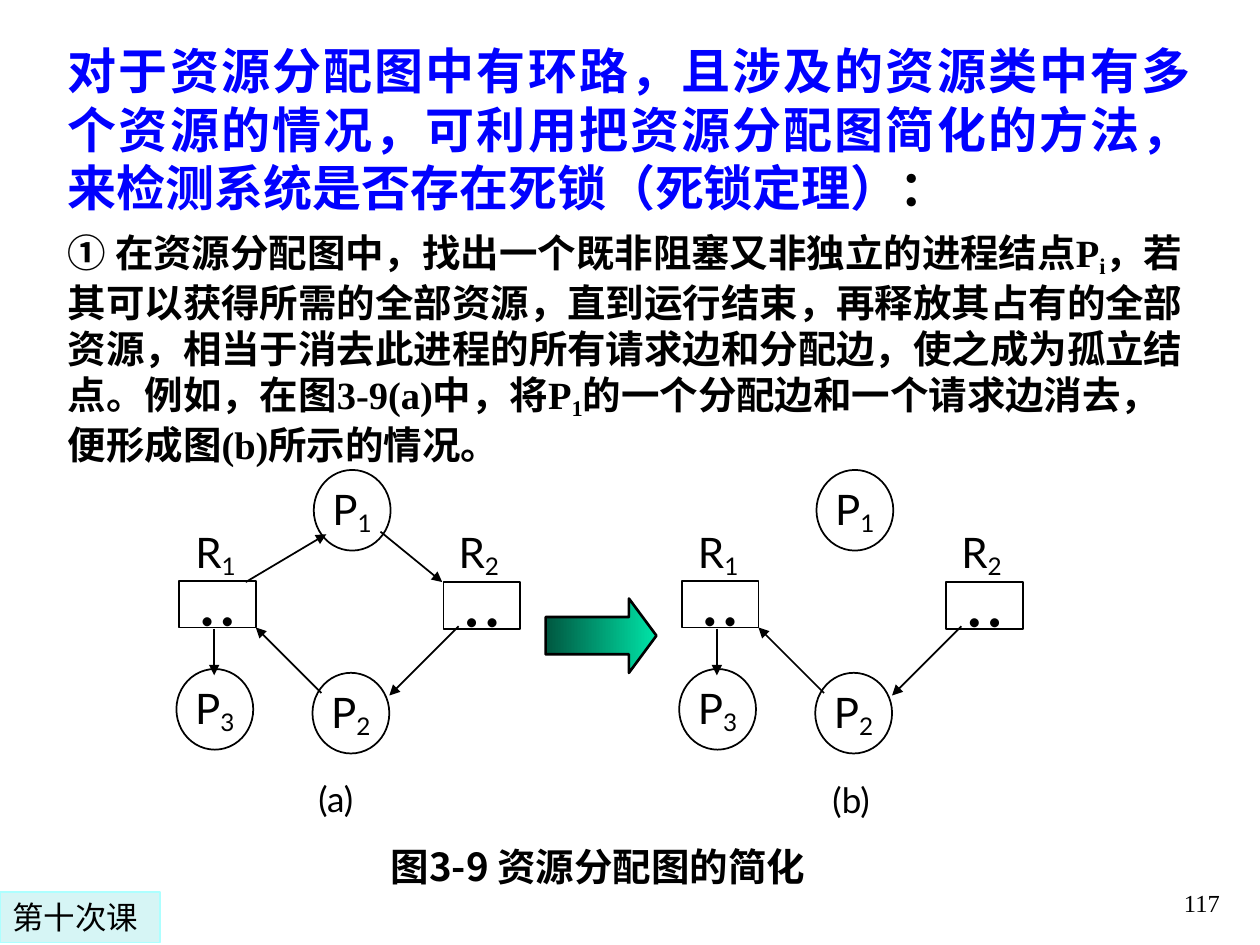
import pptx
import pptx.dml.color
import pptx.enum.shapes
import pptx.enum.text
import pptx.oxml.ns
import pptx.util
from lxml import etree

Inches = pptx.util.Inches
Pt = pptx.util.Pt
SHAPE = pptx.enum.shapes.MSO_SHAPE
ALIGN = pptx.enum.text.PP_ALIGN
ANCHOR = pptx.enum.text.MSO_ANCHOR
qn = pptx.oxml.ns.qn

CJK_FONT = "Noto Sans CJK SC"
PLAIN_INSETS = (0.1, 0.05, 0.1, 0.05)
NODE_INSETS = (0.06, 0.01, 0.06, 0.01)
BASE_EDGES = [
    (0.3, 1.26, 0.3, 1.63),
    (1.15, 1.77, 0.63, 1.25),
    (2.24, 1.24, 1.69, 1.79),
]
P1_EDGES = [(0.55, 0.89, 1.19, 0.51), (1.62, 0.49, 2.11, 0.89)]


def rgb(color):
    """Turn a hex string into a colour."""
    return pptx.dml.color.RGBColor.from_string(color)


def set_frame(shape, insets=PLAIN_INSETS, wrap=True, anchor=ANCHOR.TOP):
    """Set the margins, wrapping and anchor of a shape's text."""
    frame = shape.text_frame
    frame.word_wrap = wrap
    frame.vertical_anchor = anchor
    frame.margin_left, frame.margin_top, frame.margin_right, frame.margin_bottom = map(Inches, insets)
    return frame


def write(paragraph, runs, size, font, color="000000", bold=False, align=ALIGN.LEFT):
    """Fill a paragraph with (text, baseline percent) runs in one style."""
    paragraph.alignment = align
    paragraph.font.size = Pt(size)
    paragraph.font.name = font
    paragraph.font.bold = bold
    paragraph.font.color.rgb = rgb(color)
    for text, baseline in runs:
        run = paragraph.add_run()
        run.text = text
        properties = run._r.get_or_add_rPr()
        if baseline:
            properties.set("baseline", str(baseline * 1000))
        etree.SubElement(properties, qn("a:ea")).set("typeface", CJK_FONT)


def add_text(shapes, box, runs, size, font, bold=False, align=ALIGN.CENTER, anchor=ANCHOR.TOP):
    """Add a one-paragraph text box."""
    label = shapes.add_textbox(*map(Inches, box))
    frame = set_frame(label, anchor=anchor)
    write(frame.paragraphs[0], runs, size, font, bold=bold, align=align)


def add_outlined(shapes, kind, box, line="000000", width=1):
    """Add an unfilled preset shape with an outline."""
    shape = shapes.add_shape(kind, *map(Inches, box))
    shape.shadow.inherit = False
    shape.fill.background()
    shape.line.color.rgb = rgb(line)
    shape.line.width = Pt(width)
    return shape


def add_process(shapes, left, top, number):
    """Add a round process node."""
    node = add_outlined(shapes, SHAPE.OVAL, (left, top, 0.61, 0.64))
    frame = set_frame(node, NODE_INSETS, False, ANCHOR.MIDDLE)
    write(frame.paragraphs[0], [("P", 0), (number, -16)], 24, "Lato", align=ALIGN.CENTER)


def add_resource(shapes, left, top, label_left, label_top, number):
    """Add a resource class with two units and its label."""
    node = add_outlined(shapes, SHAPE.RECTANGLE, (left, top, 0.61, 0.37))
    frame = set_frame(node, (0.06, 0, 0.06, 0.01), False)
    write(frame.paragraphs[0], [("• •", -16)], 24, "Lato", align=ALIGN.CENTER)
    add_text(shapes, (label_left, label_top, 0.88, 0.53), [("R", 0), (number, -16)], 24, "Lato")


def add_edge(shapes, start_x, start_y, end_x, end_y):
    """Add an arrow between two nodes."""
    edge = shapes.add_connector(
        pptx.enum.shapes.MSO_CONNECTOR.STRAIGHT, *map(Inches, (start_x, start_y, end_x, end_y))
    )
    edge.line.color.rgb = rgb("000000")
    edge.line.width = Pt(1)
    etree.SubElement(edge.line._get_or_add_ln(), qn("a:tailEnd")).set("type", "triangle")
    etree.SubElement(edge._element.spPr, qn("a:effectLst"))


def add_allocation_graph(slide, left, top, edges, label, label_left, label_top):
    """Draw one resource allocation graph from its top left corner."""
    shapes = slide.shapes.add_group_shape().shapes
    add_text(shapes, (left + label_left, top + label_top, 1.05, 0.44), [(label, 0)], 20, "Lato")
    for number, x, y in [("1", 1.09, 0), ("2", 1.08, 1.61), ("3", 0, 1.58)]:
        add_process(shapes, left + x, top + y, number)
    for number, x, y, label_x in [("1", 0.02, 0.88, -0.13), ("2", 2.12, 0.89, 1.96)]:
        add_resource(shapes, left + x, top + y, left + label_x, top + 0.4, number)
    for start_x, start_y, end_x, end_y in edges:
        add_edge(shapes, left + start_x, top + start_y, left + end_x, top + end_y)


def add_explanation(slide, box):
    """Write the theorem heading and its first step."""
    frame = set_frame(slide.shapes.add_textbox(*map(Inches, box)))
    heading = frame.paragraphs[0]
    heading_runs = [
        ("对于资源分配图中有环路，且涉及的资源类中有多个资源的情况，可利用把资源分配图简化的方法，来检测系统是否存在死锁（死锁定理）", 0),
        ("：", 0),
    ]
    write(heading, heading_runs, 28, "Lato", "0101FF", True, ALIGN.JUSTIFY)
    heading.runs[1].font.color.rgb = rgb("000000")
    step = frame.add_paragraph()
    step.space_before = Pt(6.9)
    step_runs = [
        ("① ", 0),
        ("在资源分配图中，找出一个既非阻塞又非独立的进程结点P", 0),
        ("i", -18),
        ("，若其可以获得所需的全部资源，直到运行结束，再释放其占有的全部资源，相当于消去此进程的所有请求边和分配边，使之成为孤立结点。例如，在图3-9(a)中，将P", 0),
        ("1", -18),
        ("的一个分配边和一个请求边消去，便形成图(b)所示的情况。", 0),
    ]
    write(step, step_runs, 22, "Times New Roman", bold=True)
    step.runs[0].font.name = "Lato"


def add_reduction_arrow(slide, box):
    """Add the gradient arrow between the two graphs."""
    arrow = add_outlined(slide.shapes, SHAPE.RIGHT_ARROW, box, width=1.5)
    arrow.adjustments[0] = 0.5
    arrow.adjustments[1] = 0.37
    arrow.fill.gradient()
    arrow.fill.gradient_angle = 0
    for stop, position, color in zip(arrow.fill.gradient_stops, (0, 1), ("005740", "00E4A8")):
        stop.position = position
        stop.color.rgb = rgb(color)


def add_lesson_tag(slide, box):
    """Add the lesson tag at the lower left."""
    tag = add_outlined(slide.shapes, SHAPE.RECTANGLE, box, "ADFFFF", 0.75)
    tag.fill.solid()
    tag.fill.fore_color.rgb = rgb("D6F5F5")
    write(set_frame(tag).paragraphs[0], [("第十次课", 0)], 18, "DejaVu Sans")


def main():
    """Build and save the slide."""
    deck = pptx.Presentation()
    deck.slide_width, deck.slide_height = Inches(10), Inches(7.5)
    slide = deck.slides.add_slide(deck.slide_layouts[6])
    add_text(slide.shapes, (7.7, 6.83, 2.08, 0.5), [("117", 0)], 14, "Times New Roman",
             align=ALIGN.RIGHT, anchor=ANCHOR.BOTTOM)
    add_explanation(slide, (0.44, 0.27, 9.11, 3.49))
    add_text(slide.shapes, (2.41, 6.64, 4.67, 0.47), [("图3-9 资源分配图的简化", 0)], 22, CJK_FONT, bold=True)
    add_allocation_graph(slide, 1.4, 3.73, P1_EDGES + BASE_EDGES, "(a)", 0.74, 2.39)
    add_allocation_graph(slide, 5.39, 3.73, BASE_EDGES, "(b)", 0.84, 2.4)
    add_reduction_arrow(slide, (4.33, 4.75, 0.88, 0.59))
    add_lesson_tag(slide, (0, 7.08, 1.27, 0.4))
    deck.save("out.pptx")


if __name__ == "__main__":
    main()
